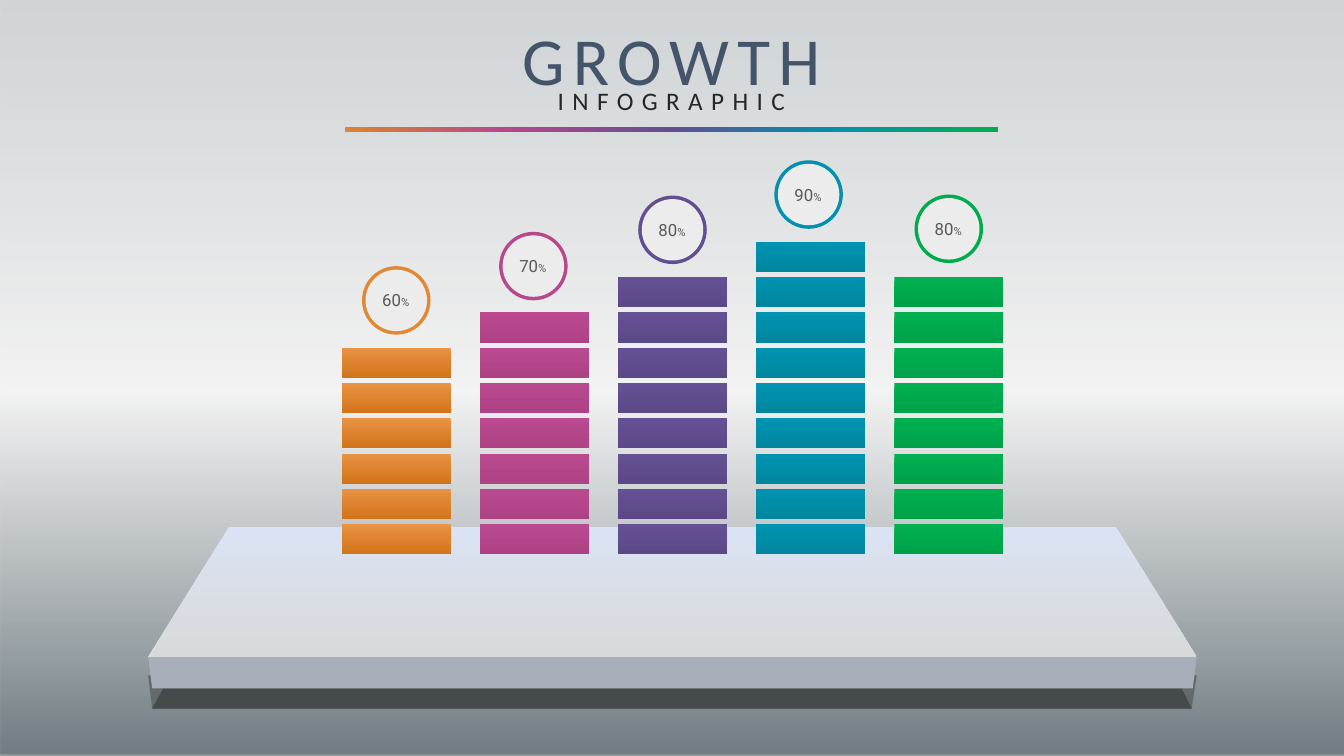
from dataclasses import dataclass

from lxml.etree import SubElement
from pptx import Presentation
from pptx.dml.color import RGBColor
from pptx.enum.shapes import MSO_SHAPE
from pptx.enum.text import MSO_AUTO_SIZE, PP_ALIGN
from pptx.oxml.ns import qn
from pptx.shapes.autoshape import Shape
from pptx.slide import Slide
from pptx.util import Inches, Pt

BLOCK_W, BLOCK_H = 1.08, 0.3
COLUMN_LEFT, COLUMN_STEP = 3.39, 1.37
BLOCK_BOTTOM, BLOCK_STEP = 5.2, 0.35
BADGE, RING = 0.68, 0.035


@dataclass(frozen=True)
class Stop:
    position: int
    color: str
    alpha: int = 100


@dataclass(frozen=True)
class Run:
    text: str
    size: int
    font: str
    color: str
    spacing: int = 0


@dataclass(frozen=True)
class Column:
    percent: int
    top_color: str
    bottom_color: str
    ring_color: str
    badge_left: float
    badge_top: float


@dataclass(frozen=True)
class Face:
    points: list[tuple[float, float]]
    stops: list[Stop]


COLUMNS = [
    Column(60, "E99345", "D27319", "E18835", 3.59, 2.64),
    Column(70, "BA4A8F", "AD4285", "B7488C", 4.95, 2.3),
    Column(80, "645195", "5B4987", "624F92", 6.33, 1.94),
    Column(90, "0094B2", "01869E", "0190AD", 7.68, 1.59),
    Column(80, "00B050", "00A249", "00AB4E", 9.07, 1.93),
]

PLATFORM = [
    Face([(1.47, 6.7), (11.87, 6.7), (11.82, 7.03), (1.51, 7.03)], [Stop(0, "626A6C")]),
    Face([(1.62, 6.83), (11.72, 6.83), (11.82, 7.03), (1.51, 7.03)], [Stop(0, "454A4B")]),
    Face([(1.47, 6.52), (11.87, 6.52), (11.83, 6.83), (1.51, 6.83)], [Stop(0, "A9AEBB")]),
    Face([(2.27, 5.23), (11.07, 5.23), (11.87, 6.52), (1.47, 6.52)],
         [Stop(0, "DAE3F3"), Stop(100, "D9D9D9")]),
]

BACKDROP = [Stop(0, "C4C9CC", 80), Stop(52, "F2F2F2", 90), Stop(100, "707C82")]
RAINBOW = [Stop(0, "00AD4E"), Stop(25, "0190AB"), Stop(50, "624F92"),
           Stop(75, "B5478B"), Stop(100, "DE8330")]


def rgb(color: str) -> RGBColor:
    return RGBColor.from_string(color)


def paint(sp: Shape, stops: list[Stop], angle: int = 90) -> None:
    sp.shadow.inherit = False
    sp.line.fill.background()
    if len(stops) == 1:
        sp.fill.solid()
        sp.fill.fore_color.rgb = rgb(stops[0].color)
        return
    sp.fill.gradient()
    grad = sp.element.spPr.find(qn("a:gradFill"))
    for child in list(grad):
        grad.remove(child)
    gs_list = SubElement(grad, qn("a:gsLst"))
    for stop in stops:
        gs = SubElement(gs_list, qn("a:gs"), pos=str(stop.position * 1000))
        clr = SubElement(gs, qn("a:srgbClr"), val=stop.color)
        if stop.alpha < 100:
            SubElement(clr, qn("a:alpha"), val=str(stop.alpha * 1000))
    SubElement(grad, qn("a:lin"), ang=str(angle * 60000), scaled="0")


def add_block(s: Slide, kind: MSO_SHAPE, left: float, top: float, width: float,
              height: float, stops: list[Stop], angle: int = 90) -> None:
    sp = s.shapes.add_shape(kind, Inches(left), Inches(top), Inches(width), Inches(height))
    paint(sp, stops, angle)


def add_face(s: Slide, face: Face) -> None:
    corners = [(Inches(x), Inches(y)) for x, y in face.points]
    builder = s.shapes.build_freeform(*corners[0])
    builder.add_line_segments(corners[1:], close=True)
    paint(builder.convert_to_shape(), face.stops)


def add_text(s: Slide, left: float, top: float, width: float, height: float,
             runs: list[Run]) -> None:
    box = s.shapes.add_textbox(Inches(left), Inches(top), Inches(width), Inches(height))
    tf = box.text_frame
    tf.word_wrap = True
    tf.auto_size = MSO_AUTO_SIZE.SHAPE_TO_FIT_TEXT
    p = tf.paragraphs[0]
    p.alignment = PP_ALIGN.CENTER
    for run in runs:
        r = p.add_run()
        r.text = run.text
        r.font.size = Pt(run.size)
        r.font.name = run.font
        r.font.color.rgb = rgb(run.color)
        if run.spacing:
            r.font._element.set("spc", str(run.spacing * 100))


def add_column(s: Slide, index: int, column: Column) -> None:
    left = COLUMN_LEFT + index * COLUMN_STEP
    stops = [Stop(0, column.top_color), Stop(100, column.bottom_color)]
    for row in range(column.percent // 10):
        add_block(s, MSO_SHAPE.RECTANGLE, left, BLOCK_BOTTOM - row * BLOCK_STEP,
                  BLOCK_W, BLOCK_H, stops)
    x, y = column.badge_left, column.badge_top
    inner = BADGE - 2 * RING
    add_block(s, MSO_SHAPE.OVAL, x, y, BADGE, BADGE, [Stop(0, column.ring_color)])
    add_block(s, MSO_SHAPE.OVAL, x + RING, y + RING, inner, inner, [Stop(0, "ECECED")])
    add_text(s, x - 0.13, y + 0.19, 0.93, 0.3,
             [Run(str(column.percent), 12, "Roboto", "595959"),
              Run("%", 8, "Roboto", "595959")])


def main() -> None:
    prs = Presentation()
    prs.slide_width, prs.slide_height = Inches(13.33), Inches(7.5)
    s = prs.slides.add_slide(prs.slide_layouts[6])
    add_block(s, MSO_SHAPE.RECTANGLE, 0, -0.04, 13.33, 7.54, BACKDROP)
    for face in PLATFORM:
        add_face(s, face)
    for index, column in enumerate(COLUMNS):
        add_column(s, index, column)
    add_text(s, 4.68, 0.13, 3.96, 0.91, [Run("GROWTH", 48, "Calibri", "44546A", 6)])
    add_text(s, 4.68, 0.8, 3.96, 0.4, [Run("INFOGRAPHIC", 18, "Calibri", "262626", 6)])
    add_block(s, MSO_SHAPE.RECTANGLE, 3.42, 1.26, 6.48, 0.05, RAINBOW, 180)
    prs.save("out.pptx")


if __name__ == "__main__":
    main()
